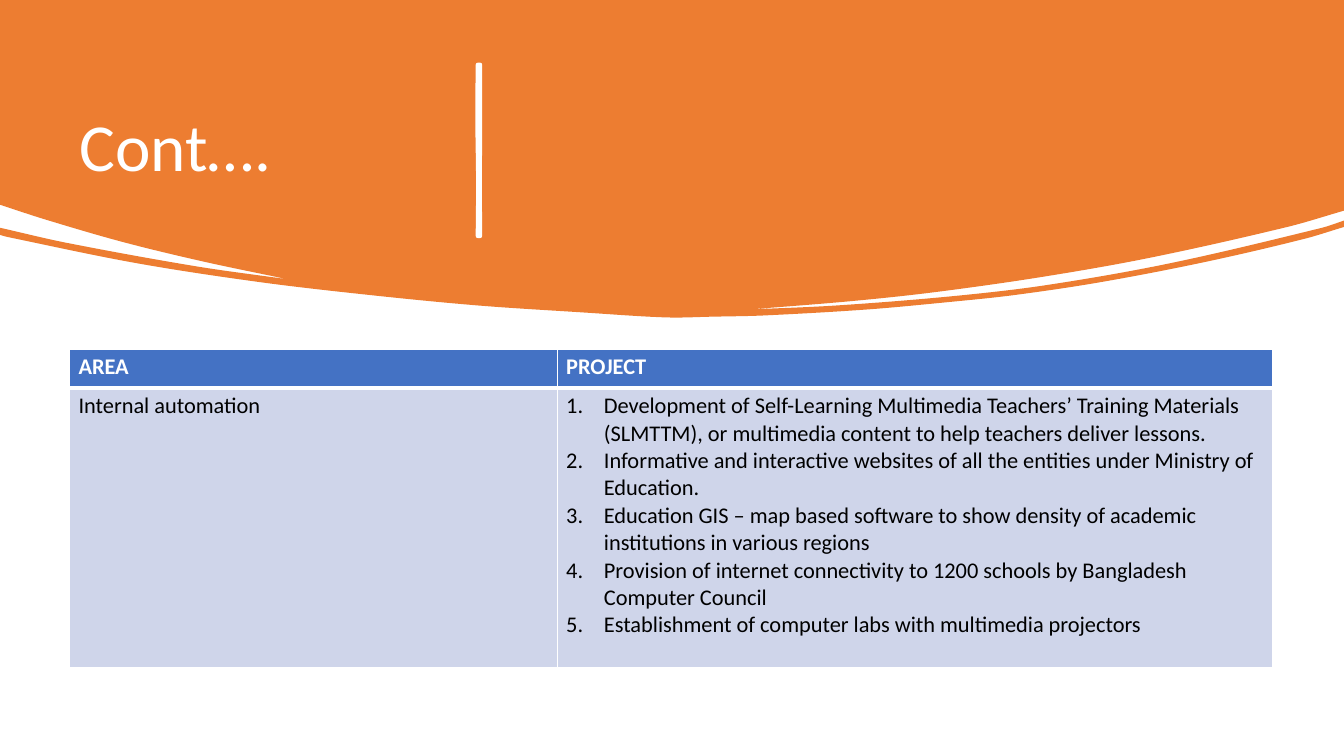
from dataclasses import dataclass
from math import dist

from lxml import etree
from pptx import Presentation
from pptx.dml.color import RGBColor
from pptx.enum.text import MSO_ANCHOR, MSO_AUTO_SIZE, PP_ALIGN
from pptx.oxml.ns import qn
from pptx.util import Cm, Pt

LEFT = PP_ALIGN.LEFT
MIDDLE = MSO_ANCHOR.MIDDLE
NO_FIT = MSO_AUTO_SIZE.NONE

Point = tuple[float, float]


@dataclass(frozen=True)
class Theme:
    font: str = "Calibri"
    orange: str = "ED7D31"
    blue: str = "4472C4"
    pale: str = "CFD5EA"
    white: str = "FFFFFF"
    black: str = "000000"
    title: float = 48
    body: float = 16
    stroke: float = 3.25
    rule: float = 1
    thick: float = 3


@dataclass(frozen=True)
class Entry:
    lines: list[str]
    fill: str
    color: str
    bold: bool = False
    listed: bool = False
    under: float = 1


@dataclass(frozen=True)
class Outline:
    edges: list[list[Point]]  # smooth runs in cm, joined at sharp corners
    fill: str
    line: float = 0
    turn: float = 0


THEME = Theme()

BANNER = Outline([
    [(0, 0), (33.87, 0)],
    # Upper and lower side of the right gap
    [(33.87, 5.31), (32.44, 5.72), (28.96, 6.5), (26.19, 6.99), (23.5, 7.37),
     (21.44, 7.59), (18.87, 7.8)],
    [(18.87, 7.8), (21.06, 7.7), (23.95, 7.47), (26.34, 7.19), (29.51, 6.63),
     (33.32, 5.74), (33.87, 5.56)],
    # Bottom edge
    [(33.87, 5.72), (32.87, 6.02), (30.38, 6.6), (27.74, 7.11), (25.53, 7.44),
     (23.83, 7.62), (21.84, 7.8), (19.25, 7.95), (17.98, 7.98), (16.81, 8),
     (14.63, 7.87), (12.07, 7.7), (9.37, 7.44), (6.55, 7.11), (3.43, 6.63),
     (0.18, 5.97), (0, 5.92)],
    # Lower and upper side of the left gap
    [(0, 5.74), (1.68, 6.12), (4.93, 6.71), (7.26, 7.04)],
    [(7.26, 7.04), (5.12, 6.59), (3.1, 6.1), (1.17, 5.54), (0, 5.16)],
], THEME.orange)

BAR = Outline([
    [(9.91, 3.76), (11.43, 3.76), (12.9, 3.77), (14.22, 3.76)],
    [(14.22, 3.81), (12.88, 3.8), (11.2, 3.82), (9.91, 3.81)],
], THEME.white, THEME.stroke, 90)

PROJECTS = [
    "Development of Self-Learning Multimedia Teachers’ Training Materials "
    "(SLMTTM), or multimedia content to help teachers deliver lessons.",
    "Informative and interactive websites of all the entities under Ministry of Education.",
    "Education GIS – map based software to show density of academic "
    "institutions in various regions",
    "Provision of internet connectivity to 1200 schools by Bangladesh Computer Council",
    "Establishment of computer labs with multimedia projectors",
]

ROWS = [
    [Entry([name], THEME.blue, THEME.white, bold=True, under=THEME.thick)
     for name in ("AREA", "PROJECT")],
    [Entry(["Internal automation"], THEME.pale, THEME.black),
     Entry(PROJECTS, THEME.pale, THEME.black, listed=True)],
]
WIDTHS = [12.29, 18.03]
HEIGHTS = [0.98, 7.04]


def paint(font, size: float, color: str, bold: bool = False) -> None:
    font.name = THEME.font
    font.size = Pt(size)
    font.bold = bold
    font.color.rgb = RGBColor.from_string(color)


def handles(knots: list[Point]) -> list[list[Point]]:
    """Give the two curve handles of each span between the knots."""
    ends = [knots[0], *knots, knots[-1]]
    slopes = [((c[0] - a[0]) / dist(a, c), (c[1] - a[1]) / dist(a, c))
              for a, c in zip(ends, ends[2:])]
    spans = []
    for a, b, u, v in zip(knots, knots[1:], slopes, slopes[1:]):
        reach = dist(a, b) / 3
        spans.append([(a[0] + u[0] * reach, a[1] + u[1] * reach),
                      (b[0] - v[0] * reach, b[1] - v[1] * reach)])
    return spans


def draw(slide, outline: Outline) -> None:
    start = last = outline.edges[0][0]
    steps: list[tuple[Point, list[Point]]] = []
    for edge in outline.edges:
        if edge[0] != last:
            steps.append((edge[0], []))
        steps += zip(edge[1:], handles(edge))
        last = edge[-1]
    pen = slide.shapes.build_freeform(Cm(start[0]), Cm(start[1]))
    pen.add_line_segments([(Cm(x), Cm(y)) for (x, y), _ in steps], close=True)
    shape = pen.convert_to_shape()

    # Bend the straight spans
    spans = list(shape._element.iter(qn("a:lnTo")))
    for span, (_, pulls) in zip(spans, steps):
        if pulls:
            span.tag = qn("a:cubicBezTo")
        for spot, (x, y) in enumerate(pulls):
            point = etree.Element(qn("a:pt"), x=str(Cm(x) - shape.left),
                                  y=str(Cm(y) - shape.top))
            span.insert(spot, point)

    shape.rotation = outline.turn
    shape.shadow.inherit = False
    color = RGBColor.from_string(outline.fill)
    shape.fill.solid()
    shape.fill.fore_color.rgb = color
    if outline.line:
        shape.line.color.rgb = color
        shape.line.width = Pt(outline.line)
    else:
        shape.line.fill.background()


def add_title(slide, text: str) -> None:
    title = slide.shapes.title
    title.left, title.top = Cm(1.75), Cm(1.75)
    title.width, title.height = Cm(10), Cm(4.06)
    frame = title.text_frame
    frame.text = text
    frame.word_wrap = True
    frame.auto_size = NO_FIT
    frame.vertical_anchor = MIDDLE
    para = frame.paragraphs[0]
    para.alignment = LEFT
    para.line_spacing = 0.9
    paint(para.runs[0].font, THEME.title, THEME.white)


def border(cell, under: float) -> None:
    props = cell._tc.get_or_add_tcPr()
    for side in "LRTB":
        width = under if side == "B" else THEME.rule
        line = etree.SubElement(props, qn(f"a:ln{side}"), w=str(Pt(width)))
        fill = etree.SubElement(line, qn("a:solidFill"))
        etree.SubElement(fill, qn("a:srgbClr"), val=THEME.white)


def number(para) -> None:
    props = para._p.get_or_add_pPr()
    props.set("marL", str(Cm(0.95)))
    props.set("indent", str(Cm(-0.95)))
    etree.SubElement(props, qn("a:buFont"), typeface="+mj-lt")
    etree.SubElement(props, qn("a:buAutoNum"), type="arabicPeriod")


def fill_cell(cell, entry: Entry) -> None:
    border(cell, entry.under)
    cell.margin_left = cell.margin_right = Cm(0.23)
    cell.margin_top = cell.margin_bottom = Cm(0.11)
    cell.fill.solid()
    cell.fill.fore_color.rgb = RGBColor.from_string(entry.fill)
    cell.text_frame.text = "\n".join(entry.lines)
    for para in cell.text_frame.paragraphs:
        if entry.listed:
            number(para)
        paint(para.runs[0].font, THEME.body, entry.color, entry.bold)


def add_grid(slide) -> None:
    table = slide.shapes.add_table(
        len(ROWS), len(WIDTHS), Cm(1.75), Cm(8.8),
        Cm(sum(WIDTHS)), Cm(sum(HEIGHTS))).table
    for col, width in zip(table.columns, WIDTHS):
        col.width = Cm(width)
    for row, height, entries in zip(table.rows, HEIGHTS, ROWS):
        row.height = Cm(height)
        for cell, entry in zip(row.cells, entries):
            fill_cell(cell, entry)


def main() -> None:
    deck = Presentation()
    deck.slide_width, deck.slide_height = Cm(33.87), Cm(19.05)
    slide = deck.slides.add_slide(deck.slide_layouts[5])

    # Banner behind the title
    draw(slide, BANNER)
    slide.shapes._spTree.append(slide.shapes.title._element)
    add_title(slide, "Cont….")
    draw(slide, BAR)

    # Project table
    add_grid(slide)
    deck.save("out.pptx")


if __name__ == "__main__":
    main()
